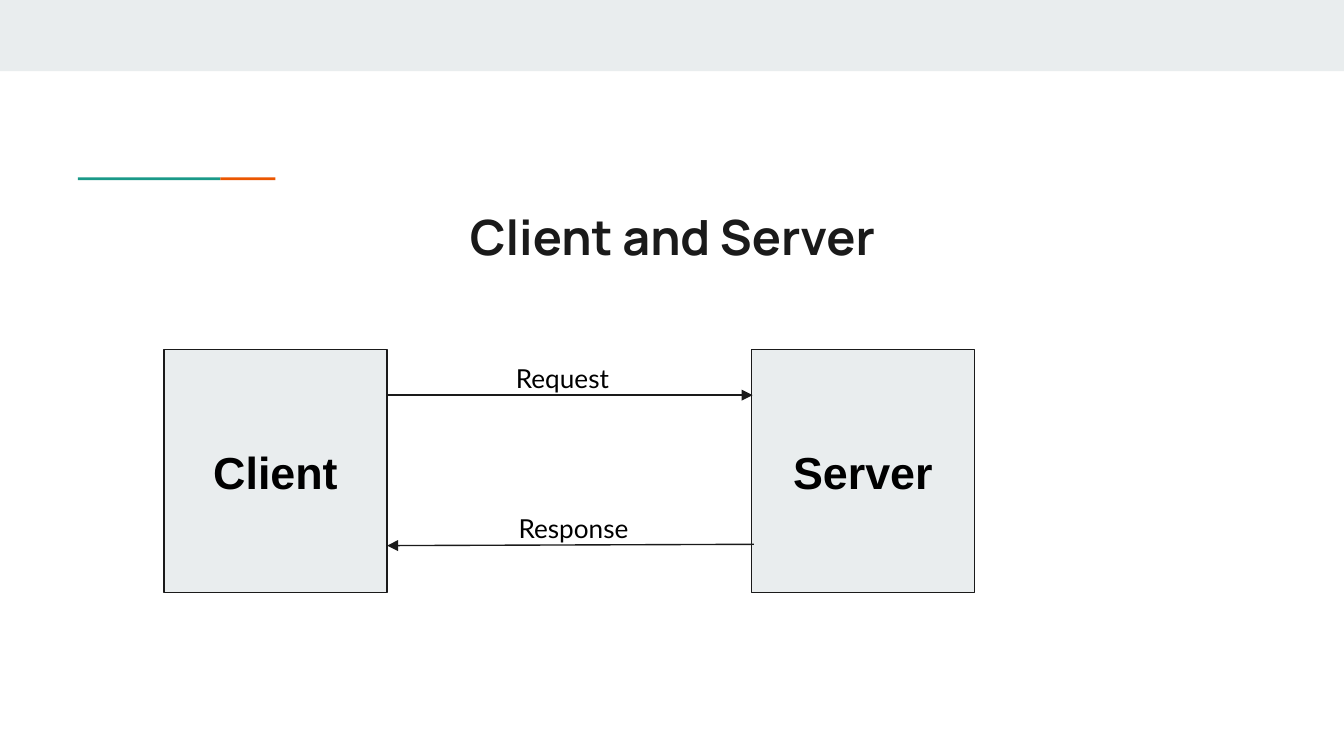
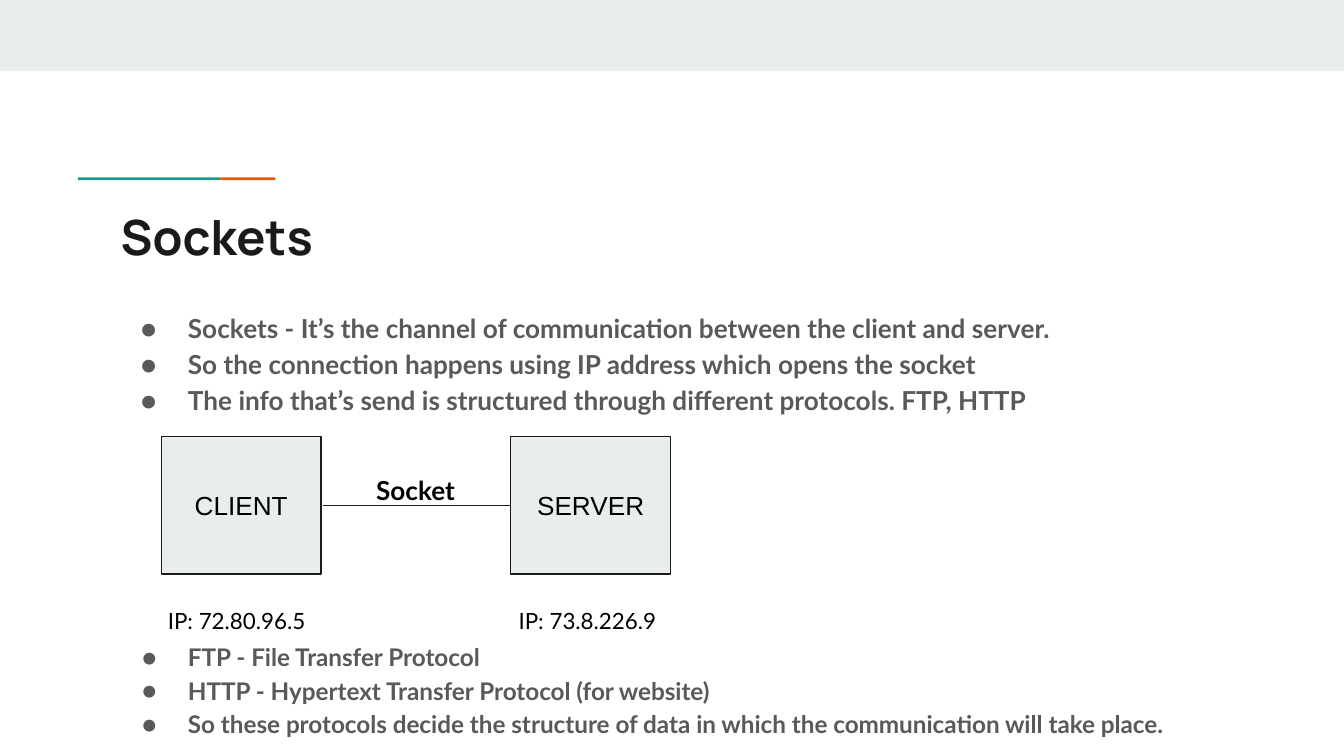
import pptx
import pptx.util
import pptx.dml.color
import pptx.enum.shapes
import pptx.enum.text
import pptx.oxml.ns
import lxml.etree

WIDE, HIGH = 10, 10 * 9 / 16
INK, PALE, TEAL, ORANGE = "1A1A1A", "E9EDEE", "1A9988", "EB5600"
GREY, BLACK = "595959", "000000"
HEAD, BODY, BOXFONT = "Manrope", "Lato", "Arial"
BARS = [(0, 0, WIDE, 0.53, PALE), (0.58, 1.32, 1.06, 0.02, TEAL),
        (1.64, 1.32, 0.41, 0.02, ORANGE)]
CENTER = pptx.enum.text.PP_ALIGN.CENTER
LEFT = pptx.enum.text.PP_ALIGN.LEFT

PAGES = [
    {
        "title": "Client and Server", "align": CENTER,
        "points": [],
        "boxes": [("Client", 1.22), ("Server", 5.59)],
        "box": {"top": 2.6, "width": 1.66, "height": 1.81, "size": 24, "bold": True},
        "lines": [(2.89, 2.94, 5.6, 2.94, True), (5.61, 4.05, 2.88, 4.06, True)],
        "labels": [("Request", 3.74, 2.6, 0.96, 14, False),
                   ("Response", 3.76, 3.71, 1.08, 14, False)],
    },
    {
        "title": "Sockets", "align": LEFT,
        "points": [
            ("Sockets - It’s the channel of communication between the client and server.", 14, 0),
            ("So the connection happens using IP address which opens the socket", 14, 0),
            ("The info that’s send is structured through different protocols. FTP, HTTP", 14, 0),
            ("FTP - File Transfer Protocol", 13, 119),
            ("HTTP - Hypertext Transfer Protocol (for website)", 13, 0),
            ("So these protocols decide the structure of data in which the "
             "communication will take place.", 13, 0),
        ],
        "boxes": [("CLIENT", 1.2), ("SERVER", 3.8)],
        "box": {"top": 3.25, "width": 1.19, "height": 1.02, "size": 14, "bold": False},
        "lines": [(2.4, 3.76, 3.8, 3.76, False)],
        "labels": [("Socket", 2.7, 3.43, 0.9, 14, True),
                   ("IP: 72.80.96.5", 1.15, 4.42, 1.29, 12, False),
                   ("IP: 73.8.226.9", 3.76, 4.42, 1.29, 12, False)],
    },
]


def color(code):
    return pptx.dml.color.RGBColor.from_string(code)


def inches(*sizes):
    return [pptx.util.Inches(size) for size in sizes]


def add_node(parent, tag, **attrs):
    return lxml.etree.SubElement(parent, pptx.oxml.ns.qn(tag), attrs)


def add_run(para, text, font, size, code, bold):
    run = para.add_run()
    run.text = text
    run.font.name = font
    run.font.size = pptx.util.Pt(size)
    run.font.color.rgb = color(code)
    run.font.bold = bold


def set_frame(shape, anchor):
    frame = shape.text_frame
    frame.word_wrap = True
    frame.vertical_anchor = anchor
    for side in ("left", "top", "right", "bottom"):
        setattr(frame, "margin_" + side, pptx.util.Inches(0.1))
    return frame


def add_text(slide, place):
    box = slide.shapes.add_textbox(*inches(*place))
    return set_frame(box, pptx.enum.text.MSO_ANCHOR.TOP)


def add_rect(slide, place, fill, edge=None):
    kind = pptx.enum.shapes.MSO_SHAPE.RECTANGLE
    rect = slide.shapes.add_shape(kind, *inches(*place))
    rect.shadow.inherit = False
    rect.fill.solid()
    rect.fill.fore_color.rgb = color(fill)
    if edge:
        rect.line.color.rgb = color(edge)
        rect.line.width = pptx.util.Pt(0.75)
    else:
        rect.line.fill.background()
    return rect


def add_box(slide, text, left, top, width, height, size, bold):
    rect = add_rect(slide, (left, top, width, height), PALE, INK)
    para = set_frame(rect, pptx.enum.text.MSO_ANCHOR.MIDDLE).paragraphs[0]
    para.alignment = CENTER
    add_run(para, text, BOXFONT, size, BLACK, bold)


def add_line(slide, ends, arrow):
    kind = pptx.enum.shapes.MSO_CONNECTOR.STRAIGHT
    line = slide.shapes.add_connector(kind, *inches(*ends))
    line.line.color.rgb = color(INK)
    line.line.width = pptx.util.Pt(0.75)
    props = line._element.spPr
    if arrow:
        add_node(props.find(pptx.oxml.ns.qn("a:ln")), "a:tailEnd", type="triangle")
    add_node(props, "a:effectLst")


def add_points(slide, points):
    frame = add_text(slide, (0.8, 2.19, 8.41, 3.28))
    for index, (text, size, gap) in enumerate(points):
        para = frame.add_paragraph() if index else frame.paragraphs[0]
        para.line_spacing = 1.15
        para.space_before = pptx.util.Pt(gap)
        props = para._p.get_or_add_pPr()
        indent = 0.35 if size == 14 else 0.34
        props.set("marL", str(pptx.util.Inches(0.5)))
        props.set("indent", str(-pptx.util.Inches(indent)))
        tint = add_node(props, "a:buClr")
        add_node(tint, "a:srgbClr", val=GREY)
        add_node(props, "a:buFont", typeface=BODY)
        add_node(props, "a:buChar", char="●")
        add_run(para, text, BODY, size, GREY, True)


def add_page(deck, page):
    slide = deck.slides.add_slide(deck.slide_layouts[6])
    for *place, fill in BARS:
        add_rect(slide, place, fill)
    para = add_text(slide, (0.8, 1.44, 8.41, 0.59)).paragraphs[0]
    para.alignment = page["align"]
    add_run(para, page["title"], HEAD, 26, INK, True)
    if page["points"]:
        add_points(slide, page["points"])
    for text, left in page["boxes"]:
        add_box(slide, text, left, **page["box"])
    for *ends, arrow in page["lines"]:
        add_line(slide, ends, arrow)
    for text, left, top, width, size, bold in page["labels"]:
        para = add_text(slide, (left, top, width, 0.34)).paragraphs[0]
        add_run(para, text, BODY, size, BLACK, bold)


def main():
    deck = pptx.Presentation()
    deck.slide_width, deck.slide_height = inches(WIDE, HIGH)
    for page in PAGES:
        add_page(deck, page)
    deck.save("out.pptx")


if __name__ == "__main__":
    main()
